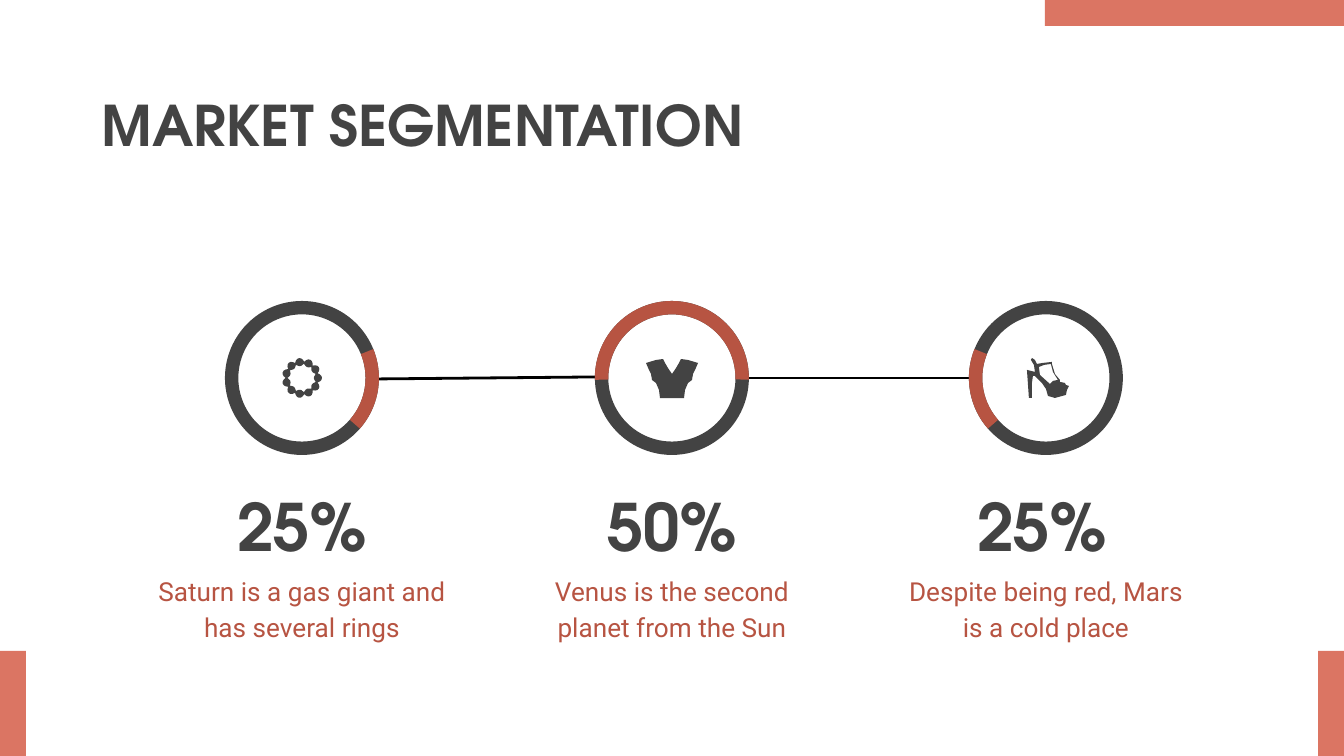
from math import cos, pi, sin, sqrt
from pptx import Presentation
from pptx.dml.color import RGBColor
from pptx.enum.shapes import MSO_CONNECTOR, MSO_SHAPE
from pptx.enum.text import MSO_ANCHOR, PP_ALIGN
from pptx.oxml.ns import qn
from pptx.util import Emu, Pt
from lxml.etree import SubElement

CORAL = RGBColor(0xDB, 0x75, 0x63)
RUST = RGBColor(0xB7, 0x54, 0x42)
DARK = RGBColor(0x43, 0x43, 0x43)
BLACK = RGBColor(0, 0, 0)
WHITE = RGBColor(255, 255, 255)
HEAD, BODY = "TeX Gyre Adventor", "Roboto"
SCALE = 914400 / 134.4


def px(num):
    return Emu(round(num * SCALE))


class Deck:
    def __init__(self):
        self.prs = Presentation()
        self.prs.slide_width, self.prs.slide_height = px(1344), px(756)
        self.slide = self.prs.slides.add_slide(self.prs.slide_layouts[6])
        self.shapes = self.slide.shapes

    def paint(self, shape, color):
        shape.fill.solid()
        shape.fill.fore_color.rgb = color
        shape.line.fill.background()
        shape.shadow.inherit = False
        return shape

    def shape(self, kind, box, color):
        return self.paint(self.shapes.add_shape(kind, *map(px, box)), color)

    def line(self, x1, y1, x2, y2):
        link = self.shapes.add_connector(MSO_CONNECTOR.STRAIGHT, *map(px, (x1, y1, x2, y2)))
        link.line.color.rgb = BLACK
        link.line.width = Pt(1.5)
        SubElement(link._element.spPr, qn("a:effectLst"))

    def text(self, words, box, size, font, color, bold=False,
             align=PP_ALIGN.CENTER, anchor=MSO_ANCHOR.MIDDLE, space=1.0):
        item = self.shapes.add_textbox(*map(px, box))
        frame = item.text_frame
        frame.word_wrap = True
        frame.vertical_anchor = anchor
        frame.margin_left = frame.margin_right = px(13)
        frame.margin_top = frame.margin_bottom = px(13)
        frame.text = words
        para = frame.paragraphs[0]
        para.alignment, para.line_spacing = align, space
        style = para.runs[0].font
        style.name, style.size, style.bold = font, Pt(size), bold
        style.color.rgb = color
        return item

    def ring(self, left, start, end, turn=0, flip=False):
        box = (left, 301, 154, 154)
        base = self.shape(MSO_SHAPE.DONUT, box, DARK)
        base.adjustments[0] = 0.087
        arc = self.shape(MSO_SHAPE.BLOCK_ARC, box, RUST)
        # Angles are 60000ths of a degree; adjustments count in 100000ths
        for spot, value in enumerate((start * 0.6, end * 0.6, 0.087)):
            arc.adjustments[spot] = value
        for part in (base, arc):
            part.rotation = turn
            if flip:
                part._element.spPr.get_or_add_xfrm().set("flipH", "1")

    def icon(self, *loops):
        loops = [[(px(x), px(y)) for x, y in loop] for loop in loops]
        pen = self.shapes.build_freeform(*loops[0][0])
        pen.add_line_segments(loops[0][1:])
        for loop in loops[1:]:
            pen.move_to(*loop[0])
            pen.add_line_segments(loop[1:])
        self.paint(pen.convert_to_shape(), DARK)


def beads(side, count=11, steps=66):
    """Outer (side 1) or inner (side -1) edge of a string of beads."""
    edge = []
    gap = 2 * pi / count
    for step in range(steps):
        turn = 2 * pi * step / steps
        off = (turn + gap / 2) % gap - gap / 2
        reach = sqrt(max(16 - (16 * sin(off)) ** 2, 1))
        far = 16 * cos(off) + side * reach
        edge.append((302 + far * cos(turn), 378 + far * sin(turn)))
    return edge


deck = Deck()

# Corner bars
for box in ((1045, 0, 299, 26), (0, 651, 26, 105), (1318, 651, 26, 105)):
    deck.shape(MSO_SHAPE.RECTANGLE, box, CORAL)

# Links between rings
deck.line(376, 379, 595, 377)
deck.line(747, 378, 970, 378)

# Title
title = deck.text("MARKET SEGMENTATION", (89, 72, 939, 105), 30, HEAD, DARK,
                  bold=True, align=PP_ALIGN.LEFT)
title.fill.solid()
title.fill.fore_color.rgb = WHITE

# Segments: centres of description and share, then their words
parts = (
    (302, 302, "25%", "Saturn is a gas giant and has several rings"),
    (672, 672, "50%", "Venus is the second planet from the Sun"),
    (1046, 1042, "25%", "Despite being red, Mars is a cold place"),
)
for mid, _, _, words in parts:
    deck.text(words, (mid - 160, 558, 320, 102), 14, BODY, RUST,
              anchor=MSO_ANCHOR.TOP, space=1.15)
for _, mid, share, _ in parts:
    deck.text(share, (mid - 104, 474, 208, 102), 35, HEAD, DARK, bold=True)

# Rings
deck.ring(225, 338, 41.2)
deck.ring(595, 219.9, 42.6, turn=318.7)
deck.ring(969, 338, 41.2, flip=True)

# Necklace
deck.icon(beads(1), beads(-1))

# Shoe
deck.icon(
    [(1032, 358), (1031, 360), (1034, 365), (1035, 372), (1027, 370), (1029, 398),
     (1032, 398), (1032, 383), (1033, 376), (1035, 376), (1042, 383), (1046, 389),
     (1048, 396), (1055, 398), (1066, 395), (1067, 390), (1069, 386), (1066, 385),
     (1065, 383), (1060, 382), (1060, 380), (1055, 374), (1052, 364), (1052, 362),
     (1043, 363), (1037, 364), (1035, 360)],
    [(1051, 364), (1053, 372), (1058, 380), (1053, 381), (1050, 384), (1040, 375),
     (1039, 367), (1044, 365)],
)

# Top, mirrored about its middle
half = [(672, 374), (676, 368), (679, 363), (681, 359), (688, 360), (698, 363),
        (695, 370), (693, 374), (692, 380), (688, 383), (685, 390), (684, 398)]
deck.icon(half + [(1344 - x, y) for x, y in half[:0:-1]])

deck.prs.save("out.pptx")
